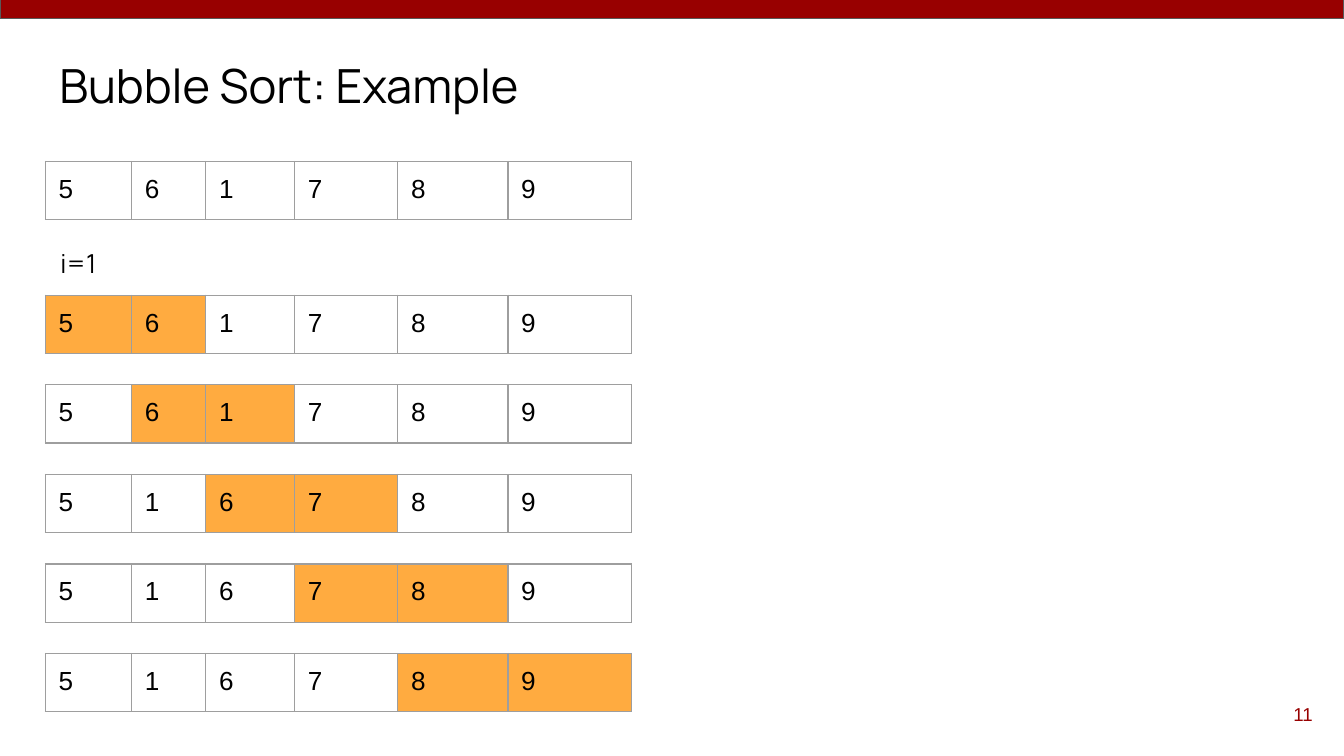
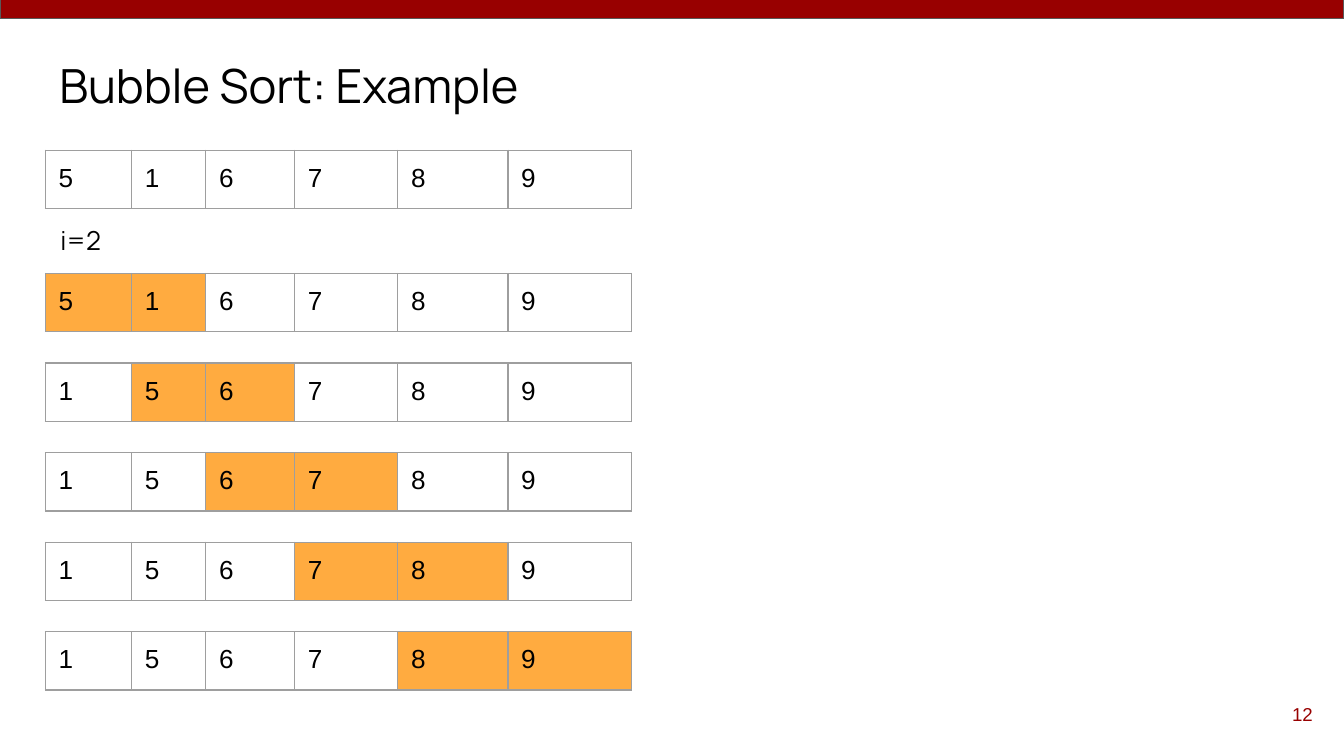
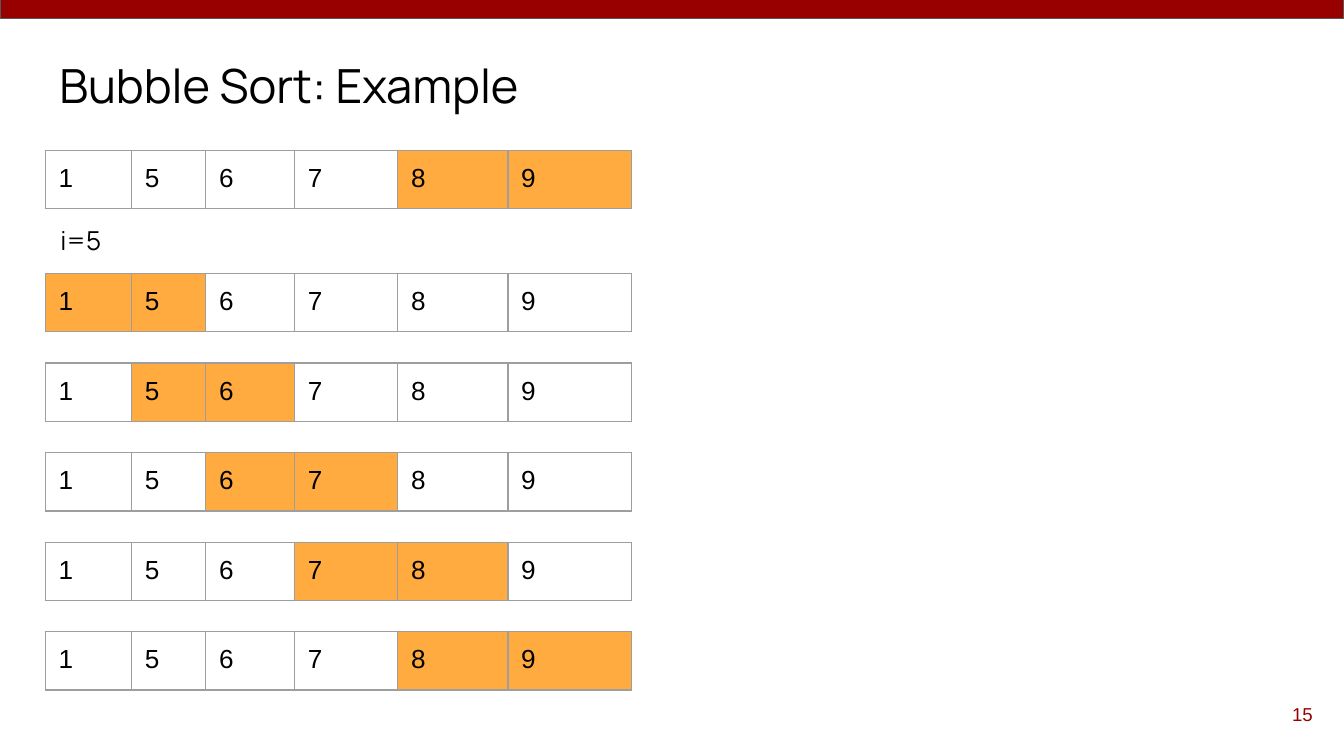
from pptx import Presentation
from pptx.dml.color import RGBColor
from pptx.enum.shapes import MSO_SHAPE
from pptx.enum.text import MSO_ANCHOR, MSO_AUTO_SIZE, PP_ALIGN
from pptx.oxml import parse_xml
from pptx.oxml.ns import nsdecls
from pptx.util import Cm, Pt

RECT = MSO_SHAPE.RECTANGLE
TOP, MIDDLE = MSO_ANCHOR.TOP, MSO_ANCHOR.MIDDLE
LEFT, RIGHT = PP_ALIGN.LEFT, PP_ALIGN.RIGHT
NO_FIT, GROW = MSO_AUTO_SIZE.NONE, MSO_AUTO_SIZE.SHAPE_TO_FIT_TEXT

RED = RGBColor(0x98, 0x00, 0x00)
BAND_LINE = RGBColor(0x59, 0x59, 0x59)
BORDER = RGBColor(0x9E, 0x9E, 0x9E)
ORANGE = RGBColor(0xFF, 0xAB, 0x40)
WHITE = RGBColor(0xFF, 0xFF, 0xFF)
BLACK = RGBColor(0x00, 0x00, 0x00)

INSET = Cm(0.25)
COL_WIDTHS = [1.63, 1.4, 1.68, 1.95, 2.08, 2.34]
ROW_HEIGHT = 1.1
TABLE_LEFT = 0.86
FRAME = Cm(8.33)
STEP = 5.08 / 3


def write(tf, text, font, size, color, align=LEFT, anchor=TOP, fit=NO_FIT):
    tf.text = text
    tf.word_wrap = True
    tf.auto_size = fit
    tf.vertical_anchor = anchor
    tf.margin_left = tf.margin_right = tf.margin_top = tf.margin_bottom = INSET
    p = tf.paragraphs[0]
    p.alignment = align
    p.font.name = font
    p.font.size = Pt(size)
    p.font.color.rgb = color


def add_array(s, top, values, marked):
    frame = s.shapes.add_table(1, len(values), Cm(TABLE_LEFT), Cm(top),
                               FRAME, FRAME)
    tbl = frame.table
    tbl.first_row = tbl.horz_banding = False
    tbl.rows[0].height = Cm(ROW_HEIGHT)
    for i, value in enumerate(values):
        tbl.columns[i].width = Cm(COL_WIDTHS[i])
        cell = tbl.cell(0, i)
        cell.margin_left = cell.margin_right = INSET
        cell.margin_top = cell.margin_bottom = INSET
        tcPr = cell._tc.get_or_add_tcPr()
        for side in ("lnL", "lnR", "lnT", "lnB"):
            tcPr.append(parse_xml(
                f'<a:{side} {nsdecls("a")} w="{Pt(0.75)}"><a:solidFill>'
                f'<a:srgbClr val="{BORDER}"/></a:solidFill></a:{side}>'))
        cell.fill.solid()
        cell.fill.fore_color.rgb = ORANGE if i in marked else WHITE
        p = cell.text_frame.paragraphs[0]
        p.text = str(value)
        p.font.name = "Arial"
        p.font.size = Pt(14)
        p.font.color.rgb = BLACK
    frame.width = frame.height = FRAME


prs = Presentation()
prs.slide_width, prs.slide_height = Cm(25.4), Cm(14.29)

PASSES = [
    (11, 1, [5, 6, 1, 7, 8, 9], (), 3.05, 4.42, 5.58),
    (12, 2, [5, 1, 6, 7, 8, 9], (), 2.84, 4.0, 5.17),
    (15, 5, [1, 5, 6, 7, 8, 9], (4, 5), 2.84, 4.0, 5.17),
]

for page, i, values, marked, start_top, label_top, steps_top in PASSES:
    s = prs.slides.add_slide(prs.slide_layouts[5])

    band = s.shapes.add_shape(RECT, 0, Cm(-0.03), prs.slide_width, Cm(0.38))
    band.shadow.inherit = False
    band.fill.solid()
    band.fill.fore_color.rgb = RED
    band.line.color.rgb = BAND_LINE
    band.line.width = Pt(0.75)

    title = s.shapes.title
    title.left, title.top = Cm(0.87), Cm(0.81)
    title.width, title.height = Cm(23.67), Cm(1.6)
    write(title.text_frame, "Bubble Sort: Example", "Manrope", 25.2, BLACK,
          anchor=MIDDLE)

    number = s.shapes.add_textbox(Cm(23.54), Cm(12.95), Cm(1.52), Cm(1.09))
    write(number.text_frame, str(page), "Arial", 10, RED, RIGHT, MIDDLE)

    add_array(s, start_top, values, marked)

    label = s.shapes.add_textbox(Cm(0.89), Cm(label_top), Cm(1.68), Cm(1.12))
    write(label.text_frame, f"i={i}", "Manrope", 14, BLACK, fit=GROW)

    for j in range(len(values) - 1):
        add_array(s, steps_top + j * STEP, values, (j, j + 1))
        values[j:j + 2] = sorted(values[j:j + 2])

prs.save("out.pptx")
